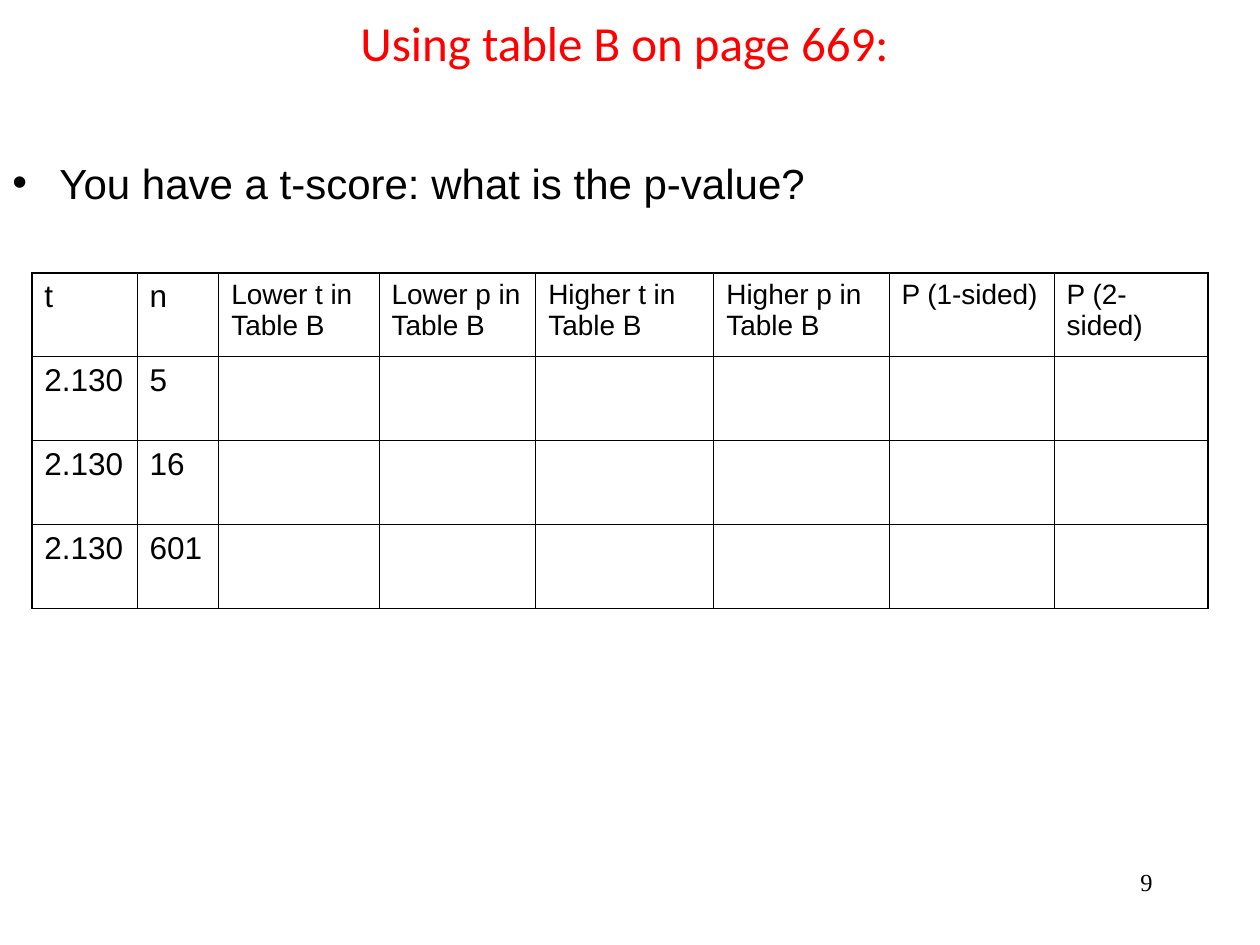
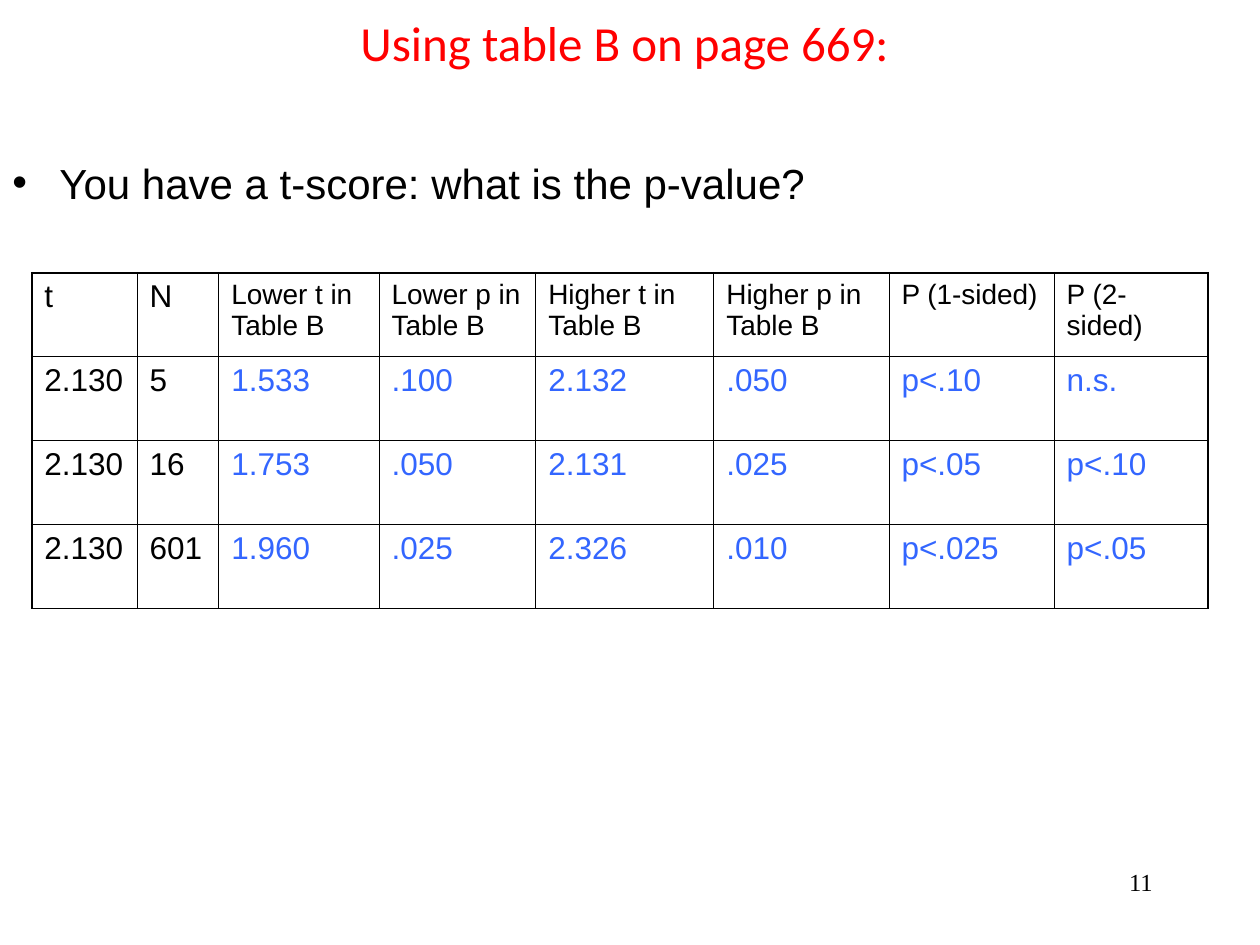
import pptx
import pptx.util
import pptx.dml.color
import pptx.enum.text
from lxml import etree
from pptx.oxml.ns import qn

Cm, Pt = pptx.util.Cm, pptx.util.Pt
RGB = pptx.dml.color.RGBColor
ALIGN = pptx.enum.text.PP_ALIGN
ANCHOR = pptx.enum.text.MSO_ANCHOR

# Shared look
RED = RGB(0xFF, 0x00, 0x00)
BLACK = RGB(0x00, 0x00, 0x00)
BLUE = RGB(0x33, 0x66, 0xFF)
THIN, THICK = Pt(0.45), Pt(1.08)

# Boxes: left, top, width, height in centimetres
PAGE = (25.4, 19.05)
TITLE_BOX = (0, 0, 25.4, 2.74)
BODY_BOX = (0, 2.97, 25.4, 16.08)
GRID_BOX = (0.64, 5.5, 23.71, 6.77)
NUM_BOX = (18.21, 17.35, 5.28, 1.27)

COLS = (2.12, 1.65, 3.23, 3.16, 3.59, 3.53, 3.33, 3.1)
HEADS = ("Lower t in Table B", "Lower p in Table B", "Higher t in Table B",
         "Higher p in Table B", "P (1-sided)", "P (2-sided)")
GIVEN = (("2.130", "5"), ("2.130", "16"), ("2.130", "601"))
BLANKS = (("",) * len(HEADS),) * len(GIVEN)
ANSWERS = (
    ("1.533", ".100", "2.132", ".050", "p<.10", "n.s."),
    ("1.753", ".050", "2.131", ".025", "p<.05", "p<.10"),
    ("1.960", ".025", "2.326", ".010", "p<.025", "p<.05"),
)


def cms(box):
    return [Cm(part) for part in box]


def add_run(para, text, size, color, font="Arial"):
    run = para.add_run()
    run.text = text
    run.font.name, run.font.size = font, Pt(size)
    run.font.color.rgb = color


def set_frame(frame, left=0.25, top=0.13, right=0.25, bottom=0.13):
    frame.word_wrap = True
    frame.auto_size = pptx.enum.text.MSO_AUTO_SIZE.NONE
    frame.margin_left, frame.margin_top = Cm(left), Cm(top)
    frame.margin_right, frame.margin_bottom = Cm(right), Cm(bottom)
    return frame.paragraphs[0]


def add_title(slide, box):
    title = slide.shapes.title
    title.left, title.top, title.width, title.height = cms(box)
    # The deep bottom margin lifts the line above the middle
    para = set_frame(title.text_frame, bottom=1.17)
    title.text_frame.vertical_anchor = ANCHOR.MIDDLE
    para.alignment = ALIGN.CENTER
    add_run(para, "Using table B on page 669: ", 28, RED, "Calibri")


def add_body(slide, box):
    shape = slide.shapes.add_textbox(*cms(box))
    para = set_frame(shape.text_frame, top=0.2)
    props = para._p.get_or_add_pPr()
    props.set("marL", str(Cm(0.95)))
    props.set("indent", str(-Cm(0.95)))
    etree.SubElement(props, qn("a:buFont"), typeface="Arial")
    etree.SubElement(props, qn("a:buChar"), char="•")
    add_run(para, "You have a t-score: what is the p-value?", 24, BLACK)


def add_edges(cell, outer):
    """Draw the four borders, thick where the side is on the outside."""
    props = cell._tc.get_or_add_tcPr()
    for spot, (side, out) in enumerate(zip("LRTB", outer)):
        line = etree.Element(qn("a:ln" + side), w=str(THICK if out else THIN))
        fill = etree.SubElement(line, qn("a:solidFill"))
        etree.SubElement(fill, qn("a:srgbClr"), val=str(BLACK))
        props.insert(spot, line)


def add_grid(slide, box, count, results):
    rows = [("t", count) + HEADS]
    rows += [given + found for given, found in zip(GIVEN, results)]
    table = slide.shapes.add_table(len(rows), len(COLS), *cms(box)).table
    table.first_row = table.horz_banding = False
    for col, width in zip(table.columns, COLS):
        col.width = Cm(width)
    for r, row in enumerate(rows):
        table.rows[r].height = Cm(box[3] / len(rows))
        for c, text in enumerate(row):
            cell = table.cell(r, c)
            cell.fill.background()
            add_edges(cell, (c == 0, c == len(COLS) - 1,
                             r == 0, r == len(rows) - 1))
            if text:
                size = 16 if r == 0 and c > 1 else 18
                color = BLUE if r > 0 and c > 1 else BLACK
                add_run(cell.text_frame.paragraphs[0], text, size, color)


def add_number(slide, box, number):
    shape = slide.shapes.add_textbox(*cms(box))
    para = set_frame(shape.text_frame)
    para.alignment = ALIGN.RIGHT
    add_run(para, number, 14, BLACK, "Times New Roman")


def add_page(deck, count, results, number):
    slide = deck.slides.add_slide(deck.slide_layouts[5])
    add_title(slide, TITLE_BOX)
    add_body(slide, BODY_BOX)
    add_grid(slide, GRID_BOX, count, results)
    add_number(slide, NUM_BOX, number)


def main():
    deck = pptx.Presentation()
    deck.slide_width, deck.slide_height = cms(PAGE)
    add_page(deck, "n", BLANKS, "9")
    add_page(deck, "N", ANSWERS, "11")
    deck.save("out.pptx")


if __name__ == "__main__":
    main()
